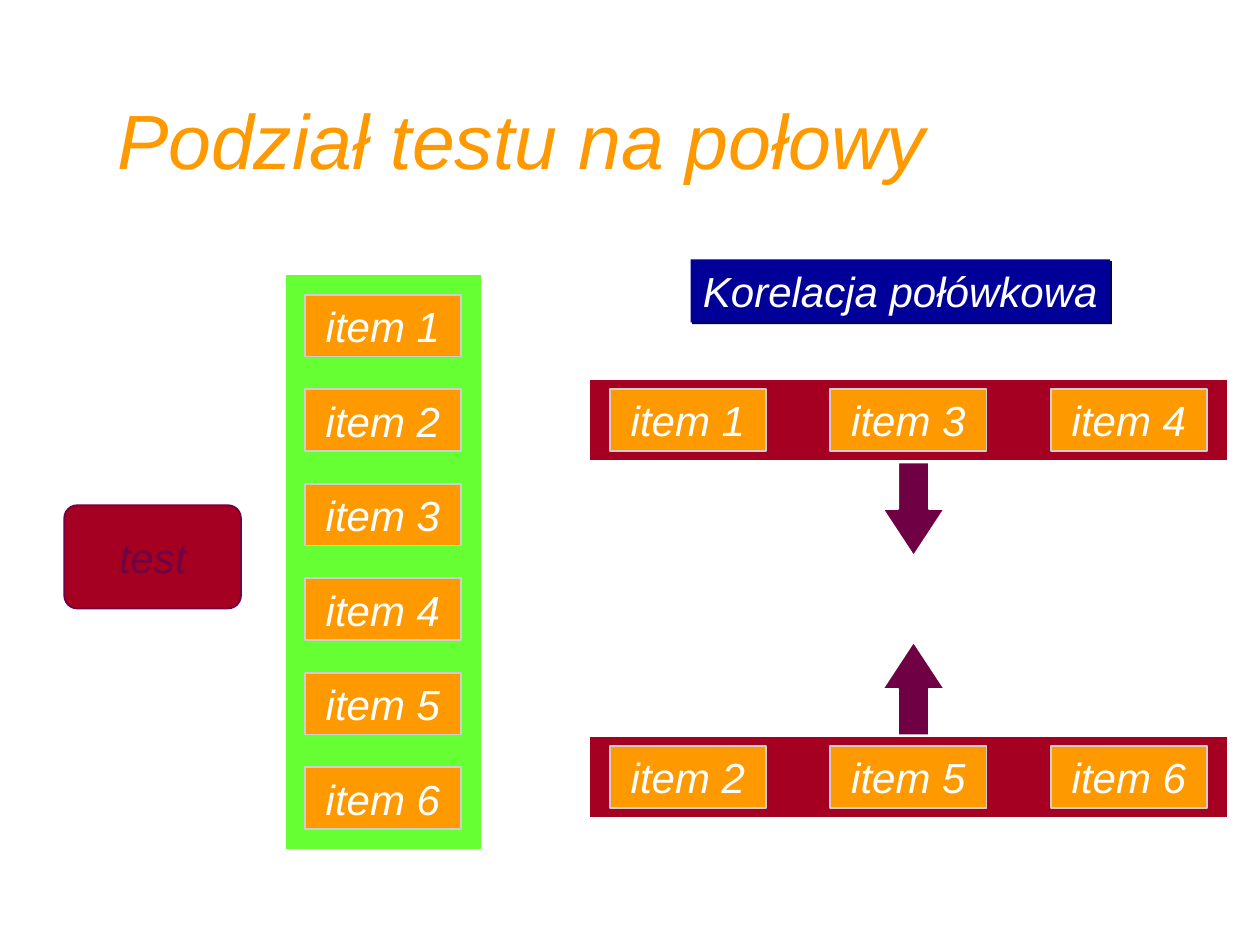
from dataclasses import dataclass

from lxml import etree
from pptx import Presentation
from pptx.dml.color import RGBColor
from pptx.enum import shapes, text
from pptx.oxml.ns import qn
from pptx.util import Pt


@dataclass(frozen=True)
class Theme:
    font: str = "Arial"
    title_size: int = 44
    body_size: int = 24
    white: str = "FFFFFF"
    orange: str = "FF9900"
    red: str = "A50021"
    green: str = "66FF33"
    plum: str = "6E0043"
    navy: str = "000099"
    navy_shadow: str = "00005C"
    grey: str = "CECECE"


def write(sp, content, *, font, size, color, align=text.PP_ALIGN.CENTER,
          anchor=text.MSO_ANCHOR.MIDDLE, wrap=False):
    """Put one italic paragraph into a shape."""
    tf = sp.text_frame
    tf.word_wrap = wrap
    tf.vertical_anchor = anchor
    p = tf.paragraphs[0]
    p.alignment = align
    r = p.add_run()
    r.text = content
    r.font.name = font
    r.font.size = Pt(size)
    r.font.italic = True
    r.font.color.rgb = RGBColor.from_string(color)


class SlideBuilder:
    def __init__(self, slide, theme):
        self.shapes = slide.shapes
        self.theme = theme

    def box(self, left, top, width, height, fill, line=None,
            kind=shapes.MSO_SHAPE.RECTANGLE):
        sp = self.shapes.add_shape(kind, Pt(left), Pt(top), Pt(width), Pt(height))
        sp.shadow.inherit = False
        sp.fill.solid()
        sp.fill.fore_color.rgb = RGBColor.from_string(fill)
        if line:
            sp.line.color.rgb = RGBColor.from_string(line)
            sp.line.width = Pt(1)
        else:
            sp.line.fill.background()
        return sp

    def label(self, sp, content, color, **fmt):
        write(sp, content, font=self.theme.font, size=self.theme.body_size,
              color=color, **fmt)

    def item(self, left, top, number):
        sp = self.box(left, top, 89.3, 35.3, self.theme.orange, self.theme.grey)
        self.label(sp, f"item {number}", self.theme.white)

    def test_box(self, left, top, width, height):
        sp = self.box(left, top, width, height, self.theme.red, self.theme.plum,
                      shapes.MSO_SHAPE.ROUNDED_RECTANGLE)
        sp.adjustments[0] = 0.125
        self.label(sp, "test", self.theme.plum)

    def arrow(self, left, top, rotation):
        sp = self.box(left, top, 53.3, 35.3, self.theme.plum, self.theme.white,
                      shapes.MSO_SHAPE.RIGHT_ARROW)
        sp.adjustments[0], sp.adjustments[1] = 0.5, 0.76
        sp.rotation = rotation

    def line(self, x1, y1, x2, y2):
        cn = self.shapes.add_connector(shapes.MSO_CONNECTOR.STRAIGHT,
                                       Pt(x1), Pt(y1), Pt(x2), Pt(y2))
        cn.line.color.rgb = RGBColor.from_string(self.theme.white)
        cn.line.width = Pt(1)
        etree.SubElement(cn._element.spPr, qn("a:effectLst"))

    def banner(self, left, top, width, height, content):
        sp = self.box(left, top, width, height, self.theme.navy)
        effects = sp._element.spPr.find(qn("a:effectLst"))
        shadow = etree.SubElement(effects, qn("a:outerShdw"), dist=str(Pt(1.4)),
                                  dir=str(45 * 60000), algn="ctr", rotWithShape="0")
        etree.SubElement(shadow, qn("a:srgbClr"), val=self.theme.navy_shadow)
        self.label(sp, content, self.theme.white, align=text.PP_ALIGN.LEFT,
                   anchor=text.MSO_ANCHOR.TOP)

    def title(self, left, top, width, height, content):
        sp = self.shapes.add_textbox(Pt(left), Pt(top), Pt(width), Pt(height))
        write(sp, content, font=self.theme.font, size=self.theme.title_size,
              color=self.theme.orange, align=text.PP_ALIGN.LEFT,
              anchor=text.MSO_ANCHOR.BOTTOM, wrap=True)


def main():
    prs = Presentation()
    prs.slide_width, prs.slide_height = Pt(720), Pt(540)
    theme = Theme()
    s = SlideBuilder(prs.slides.add_slide(prs.slide_layouts[6]), theme)

    # Whole test with its column of items
    s.box(162.7, 156.6, 112.8, 329, theme.green, theme.white)
    s.test_box(36.7, 288.7, 101, 59)
    s.line(138.2, 318.2, 161.3, 318.2)
    for i in range(6):
        s.item(174.2, 168.5 + 54 * i, i + 1)

    # The two halves
    for top, numbers in ((216.9, (1, 3, 4)), (420.9, (2, 5, 6))):
        s.box(336.6, top, 365, 46.5, theme.red, theme.white)
        for i, number in enumerate(numbers):
            s.item(348.5 + 126 * i, top + 5.5, number)

    # Correlation between the halves
    s.banner(394.6, 148.3, 239.8, 36, "Korelacja połówkowa")
    s.arrow(495.4, 273.4, 90)
    s.arrow(495.4, 375.8, 270)

    # Title
    s.title(59.8, 18, 612, 91.4, "Podział testu na połowy")

    prs.save("out.pptx")


if __name__ == "__main__":
    main()
